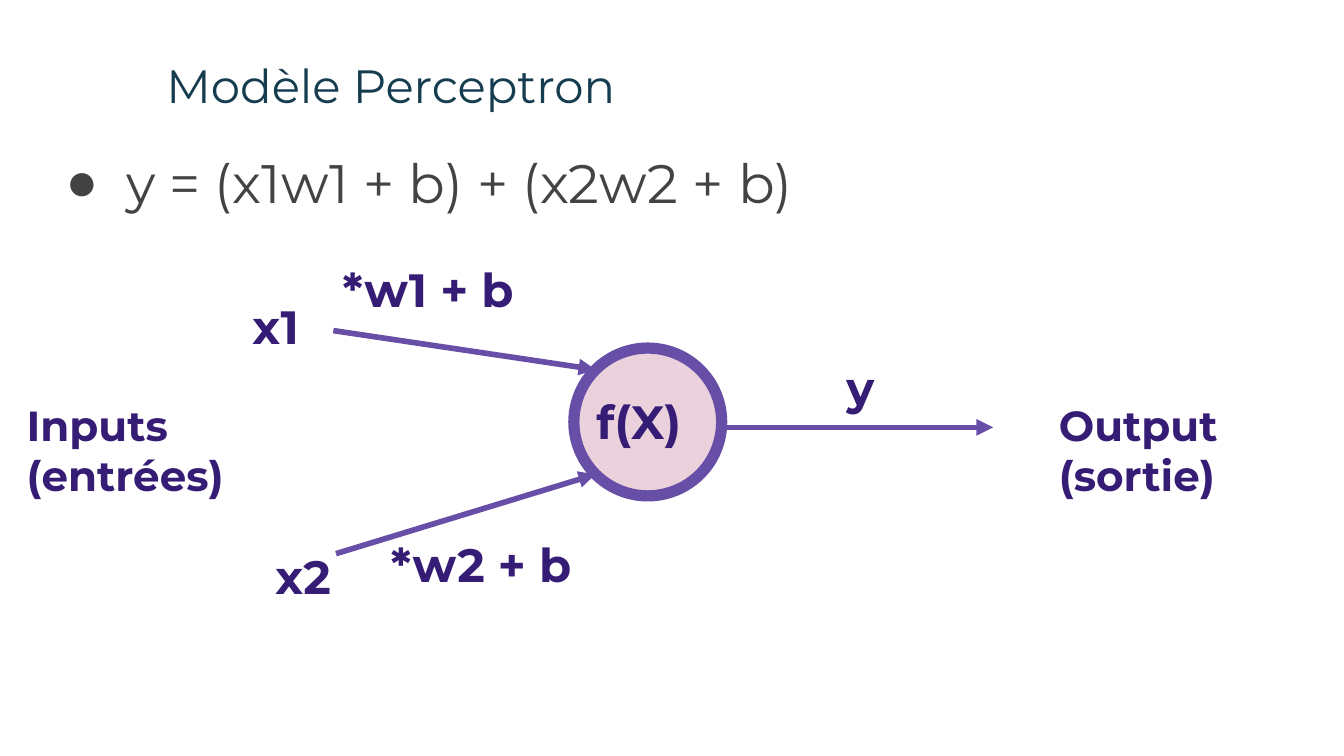
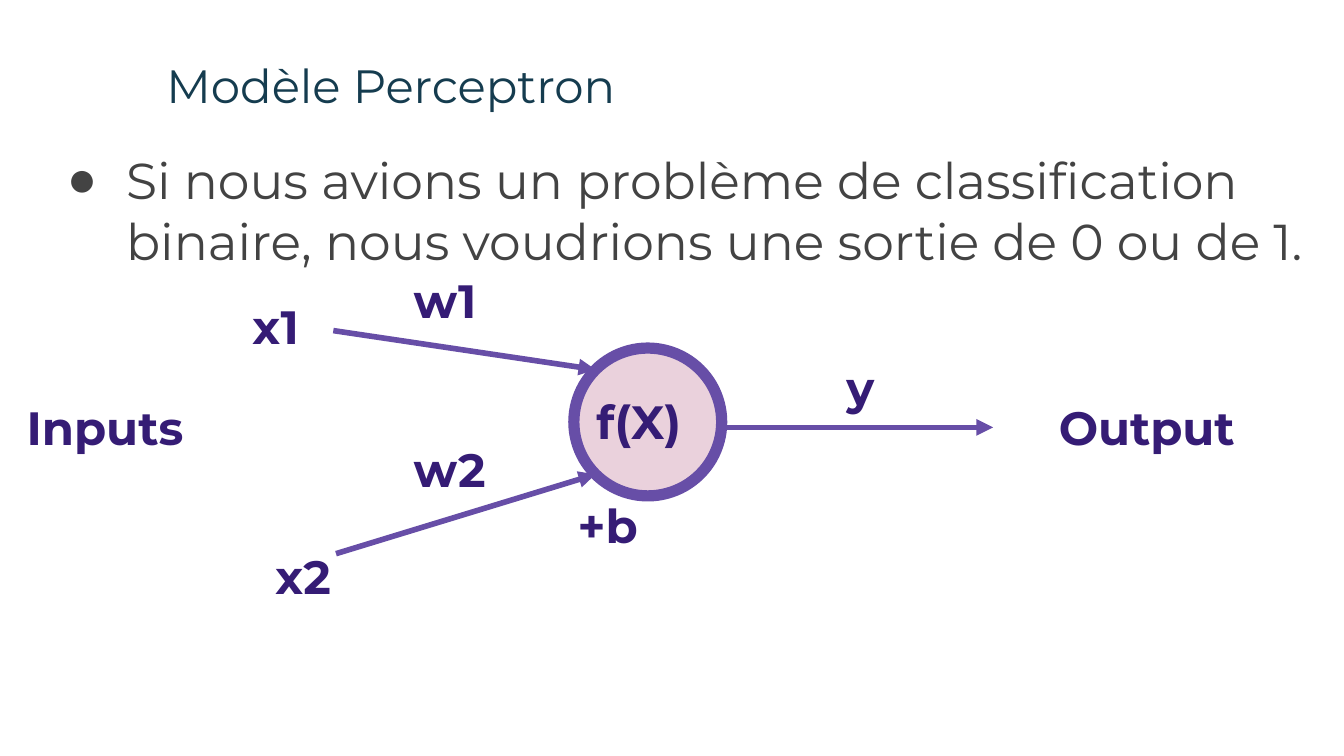
from dataclasses import dataclass

from lxml import etree
from pptx import Presentation
from pptx.dml.color import RGBColor
from pptx.enum import shapes, text
from pptx.oxml import ns
from pptx.util import Inches, Pt


@dataclass(frozen=True)
class Theme:
    font: str = "Montserrat"
    bullet_font: str = "Arial"
    title: str = "153C4F"
    body: str = "434343"
    label: str = "351C75"
    line: str = "674EA7"
    neuron: str = "EAD1DC"
    background: str = "FFFFFF"
    base_size: float = 25
    side_size: float = 22.5
    arrow_width: float = 3
    neuron_width: float = 6


THEME = Theme()


@dataclass(frozen=True)
class Label:
    text: str
    left: float
    top: float
    width: float = 0.97
    size: float = THEME.base_size


@dataclass(frozen=True)
class Arrow:
    x1: float
    y1: float
    x2: float
    y2: float


@dataclass(frozen=True)
class PerceptronSlide:
    statement: str
    statement_size: float
    hanging: float
    inputs: str
    output: str
    side_size: float
    weights: tuple[Label, ...]


TITLE = "Modèle Perceptron"
LABEL_HEIGHT = 0.63
SIDE_TOP, SIDE_WIDTH = 2.87, 2.33
WEIGHT_WIDTH = 1.95

ARROWS = (
    Arrow(2.48, 2.46, 4.43, 2.75),
    Arrow(2.5, 4.12, 4.43, 3.53),
    Arrow(5.37, 3.18, 7.39, 3.18),
)
NODE_LABELS = (
    Label("x1", 1.78, 2.12),
    Label("y", 6.2, 2.57),
    Label("f(X)", 4.34, 2.82),
    Label("x2", 1.95, 3.98),
)
SLIDES = (
    PerceptronSlide(
        "y = (x1w1 + b) + (x2w2 + b)", 29, 0.45,
        "Inputs (entrées)", "Output (sortie)", THEME.side_size,
        (Label("*w1 + b", 2.45, 1.84, WEIGHT_WIDTH),
         Label("*w2 + b", 2.81, 3.89, WEIGHT_WIDTH)),
    ),
    PerceptronSlide(
        "Si nous avions un problème de classification binaire, "
        "nous voudrions une sortie de 0 ou de 1.", 27, 0.44,
        "Inputs", "Output", THEME.base_size,
        (Label("w1", 2.98, 1.92), Label("w2", 2.98, 3.18), Label("+b", 4.2, 3.6)),
    ),
)


def rgb(value: str) -> RGBColor:
    return RGBColor.from_string(value)


def add_text(s, content: str, left: float, top: float, width: float, height: float,
             size: float, color: str, bold: bool = False):
    """Add a wrapped text box and return its only paragraph."""
    box = s.shapes.add_textbox(Inches(left), Inches(top), Inches(width), Inches(height))
    tf = box.text_frame
    tf.word_wrap = True
    tf.vertical_anchor = text.MSO_ANCHOR.TOP
    tf.margin_left = tf.margin_right = tf.margin_top = tf.margin_bottom = Inches(0.1)
    tf.text = content
    p = tf.paragraphs[0]
    font = p.runs[0].font
    font.name, font.size, font.bold = THEME.font, Pt(size), bold
    font.color.rgb = rgb(color)
    return p


def add_label(s, label: Label) -> None:
    add_text(s, label.text, label.left, label.top, label.width, LABEL_HEIGHT,
             label.size, THEME.label, bold=True)


def set_bullet(p, indent: float, hanging: float, color: str) -> None:
    p_pr = p._p.get_or_add_pPr()
    p_pr.set("marL", str(Inches(indent)))
    p_pr.set("indent", str(-Inches(hanging)))
    bullet_color = etree.SubElement(p_pr, ns.qn("a:buClr"))
    etree.SubElement(bullet_color, ns.qn("a:srgbClr"), val=color)
    etree.SubElement(p_pr, ns.qn("a:buFont"), typeface=THEME.bullet_font)
    etree.SubElement(p_pr, ns.qn("a:buChar"), char="●")


def add_neuron(s) -> None:
    sp = s.shapes.add_shape(shapes.MSO_SHAPE.OVAL, Inches(4.27), Inches(2.59),
                            Inches(1.1), Inches(1.1))
    sp.shadow.inherit = False
    sp.fill.solid()
    sp.fill.fore_color.rgb = rgb(THEME.neuron)
    sp.line.color.rgb = rgb(THEME.line)
    sp.line.width = Pt(THEME.neuron_width)


def add_arrow(s, arrow: Arrow) -> None:
    connector = s.shapes.add_connector(
        shapes.MSO_CONNECTOR.STRAIGHT, Inches(arrow.x1), Inches(arrow.y1),
        Inches(arrow.x2), Inches(arrow.y2))
    connector.line.color.rgb = rgb(THEME.line)
    connector.line.width = Pt(THEME.arrow_width)
    etree.SubElement(connector.line._get_or_add_ln(), ns.qn("a:tailEnd"), type="triangle")
    etree.SubElement(connector._element.spPr, ns.qn("a:effectLst"))


def add_perceptron_slide(prs, content: PerceptronSlide) -> None:
    s = prs.slides.add_slide(prs.slide_layouts[6])
    s.background.fill.solid()
    s.background.fill.fore_color.rgb = rgb(THEME.background)

    add_text(s, TITLE, 1.14, 0.32, 8.52, LABEL_HEIGHT, THEME.base_size, THEME.title)
    p = add_text(s, content.statement, 0.34, 1.01, 9.5, 3.74,
                 content.statement_size, THEME.body)
    set_bullet(p, 0.5, content.hanging, THEME.body)

    for side, left in ((content.inputs, 0.1), (content.output, 7.78)):
        add_label(s, Label(side, left, SIDE_TOP, SIDE_WIDTH, content.side_size))
    add_neuron(s)
    for arrow in ARROWS:
        add_arrow(s, arrow)
    for label in NODE_LABELS + content.weights:
        add_label(s, label)


def main() -> None:
    prs = Presentation()
    prs.slide_width = Inches(10)
    prs.slide_height = Inches(10 * 9 / 16)
    for content in SLIDES:
        add_perceptron_slide(prs, content)
    prs.save("out.pptx")


if __name__ == "__main__":
    main()
